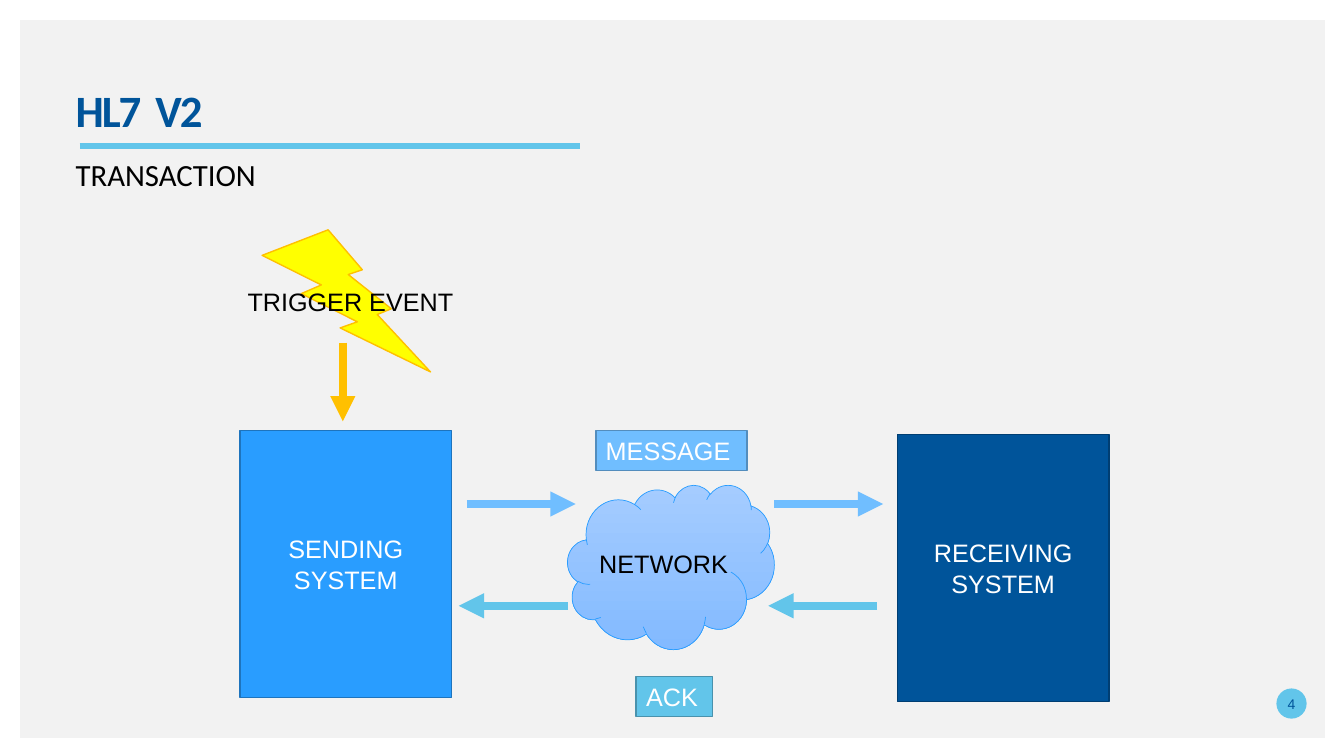
"""Build the HL7 V2 transaction slide."""
import lxml.etree
import pptx
import pptx.dml.color
import pptx.enum.shapes
import pptx.enum.text
import pptx.oxml.ns
import pptx.util

Inches = pptx.util.Inches
Points = pptx.util.Pt
SHAPES = pptx.enum.shapes.MSO_SHAPE
ALIGN = pptx.enum.text.PP_ALIGN
ANCHOR = pptx.enum.text.MSO_ANCHOR
qualified = pptx.oxml.ns.qn

COLORS = {
    "panel": "F2F2F2", "black": "000000", "white": "FFFFFF",
    "navy": "00549A", "navy edge": "003E72",
    "blue": "299DFF", "blue edge": "1E74BD",
    "message": "70BEFF", "message edge": "538DBD",
    "ack": "62C5EA", "ack edge": "4992AD",
    "yellow": "FFFF00", "orange": "FFC000",
    "cloud top": "A5CCFF", "cloud bottom": "83BAFF",
}

TITLE = "HL7  V2"
SUBTITLE = "TRANSACTION"
PAGE_NUMBER = "4"

SYSTEM_SIZE = (2.1, 2.65)
SYSTEMS = [
    ("SENDING SYSTEM", (2.38, 4.27), "blue", "blue edge"),
    ("RECEIVING SYSTEM", (8.9, 4.31), "navy", "navy edge"),
]
LABELS = [
    ("MESSAGE", (5.91, 4.27, 1.5, 0.4), "message", "message edge"),
    ("ACK", (6.31, 6.71, 0.76, 0.4), "ack", "ack edge"),
]
TRIGGER = ("TRIGGER EVENT", (2.6, 2.28, 1.67, 1.41))
NETWORK = ("NETWORK", (5.63, 4.81, 2.05, 1.63))

ARROW_LENGTH = 1.08
MESSAGE_LEVEL, MESSAGE_STARTS = 5, (4.63, 7.68)
ACK_LEVEL, ACK_STARTS = 6.01, (5.63, 8.7)
TRIGGER_ARROW = ((3.4, 3.4), (3.4, 4.18))
TITLE_RULE = ((0.79, 1.45), (5.75, 1.45))


def color(name):
    return pptx.dml.color.RGBColor.from_string(COLORS[name])


def write(shape, text, size=18, font="Arial", fill="black", bold=False,
          align=ALIGN.CENTER, anchor=ANCHOR.MIDDLE, wrap=True, inset=None):
    frame = shape.text_frame
    frame.text = text
    frame.word_wrap = wrap
    frame.auto_size = pptx.enum.text.MSO_AUTO_SIZE.NONE
    frame.vertical_anchor = anchor
    if inset is not None:
        frame.margin_left = frame.margin_right = Inches(inset)
        frame.margin_top = frame.margin_bottom = Inches(inset)
    paragraph = frame.paragraphs[0]
    paragraph.alignment = align
    run = paragraph.runs[0]
    run.font.size = Points(size)
    run.font.name = font
    run.font.bold = bold
    run.font.color.rgb = color(fill)
    return paragraph


def place(shape, box):
    shape.left, shape.top, shape.width, shape.height = map(Inches, box)


def add_block(slide, kind, box, fill=None, edge=None, weight=1):
    shape = slide.shapes.add_shape(kind, *map(Inches, box))
    shape.shadow.inherit = False
    if fill:
        shape.fill.solid()
        shape.fill.fore_color.rgb = color(fill)
    if edge:
        shape.line.color.rgb = color(edge)
        shape.line.width = Points(weight)
    else:
        shape.line.fill.background()
    return shape


def add_line(slide, start, end, stroke, weight=6, arrow=True):
    line = slide.shapes.add_connector(
        pptx.enum.shapes.MSO_CONNECTOR.STRAIGHT, *map(Inches, start + end))
    line.line.color.rgb = color(stroke)
    line.line.width = Points(weight)
    if arrow:
        outline = line.line._get_or_add_ln()
        lxml.etree.SubElement(outline, qualified("a:tailEnd"), type="triangle")
    lxml.etree.SubElement(line._element.spPr, qualified("a:effectLst"))


def add_heading(slide):
    title, body = slide.shapes.title, slide.placeholders[1]
    place(title, (0.75, 0.88, 8.27, 0.4))
    place(body, (0.75, 1.54, 9.46, 0.39))
    style = {"font": "Calibri", "align": ALIGN.LEFT,
             "anchor": ANCHOR.TOP, "inset": 0}

    paragraph = write(title, TITLE, size=32, fill="navy", bold=True, **style)
    paragraph.line_spacing = 0.9
    paragraph.runs[0].font._element.set("spc", "-150")

    paragraph = write(body, SUBTITLE, size=22, **style)
    paragraph.space_before = Points(0)
    paragraph.space_after = Points(10)
    properties = paragraph._p.get_or_add_pPr()
    properties.set("marL", "0")
    properties.set("indent", "0")
    lxml.etree.SubElement(properties, qualified("a:buNone"))

    add_line(slide, *TITLE_RULE, "ack", weight=4.32, arrow=False)


def add_diagram(slide):
    for text, corner, fill, edge in SYSTEMS:
        system = add_block(slide, SHAPES.RECTANGLE, corner + SYSTEM_SIZE, fill, edge)
        write(system, text, fill="white")

    text, box = TRIGGER
    bolt = add_block(slide, SHAPES.LIGHTNING_BOLT, box, "yellow", "orange")
    write(bolt, text, wrap=False)
    add_line(slide, *TRIGGER_ARROW, "orange")

    text, box = NETWORK
    cloud = add_block(slide, SHAPES.CLOUD, box, edge="blue", weight=0.5)
    cloud.fill.gradient()
    cloud.fill.gradient_angle = 270
    for stop, name, position in zip(
            cloud.fill.gradient_stops, ("cloud top", "cloud bottom"), (0, 1)):
        stop.color.rgb = color(name)
        stop.position = position
    write(cloud, text, wrap=False)

    for starts, level, step, stroke in (
            (MESSAGE_STARTS, MESSAGE_LEVEL, ARROW_LENGTH, "message"),
            (ACK_STARTS, ACK_LEVEL, -ARROW_LENGTH, "ack")):
        for left in starts:
            add_line(slide, (left, level), (left + step, level), stroke)

    for text, box, fill, edge in LABELS:
        label = add_block(slide, SHAPES.RECTANGLE, box, fill, edge)
        write(label, text, fill="white", align=ALIGN.LEFT)


def main():
    presentation = pptx.Presentation()
    presentation.slide_width = Inches(13.33)
    presentation.slide_height = Inches(7.5)
    slide = presentation.slides.add_slide(presentation.slide_layouts[1])

    panel = add_block(slide, SHAPES.RECTANGLE, (0.2, 0.2, 12.94, 7.12), "panel")
    slide.shapes.title._element.addprevious(panel._element)
    add_heading(slide)
    badge = add_block(slide, SHAPES.OVAL, (12.66, 6.83, 0.3, 0.3), "ack")
    write(badge, PAGE_NUMBER, size=10, fill="navy", inset=0)
    add_diagram(slide)
    presentation.save("out.pptx")


if __name__ == "__main__":
    main()
